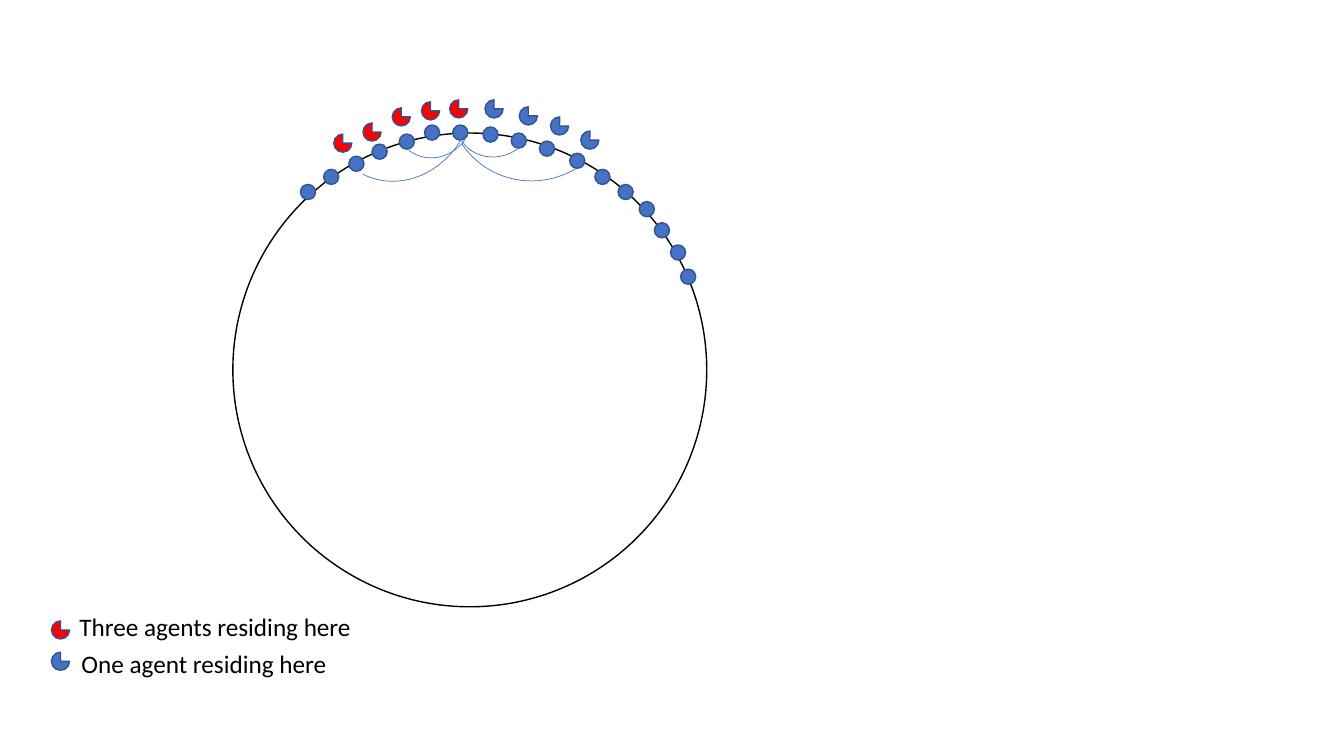
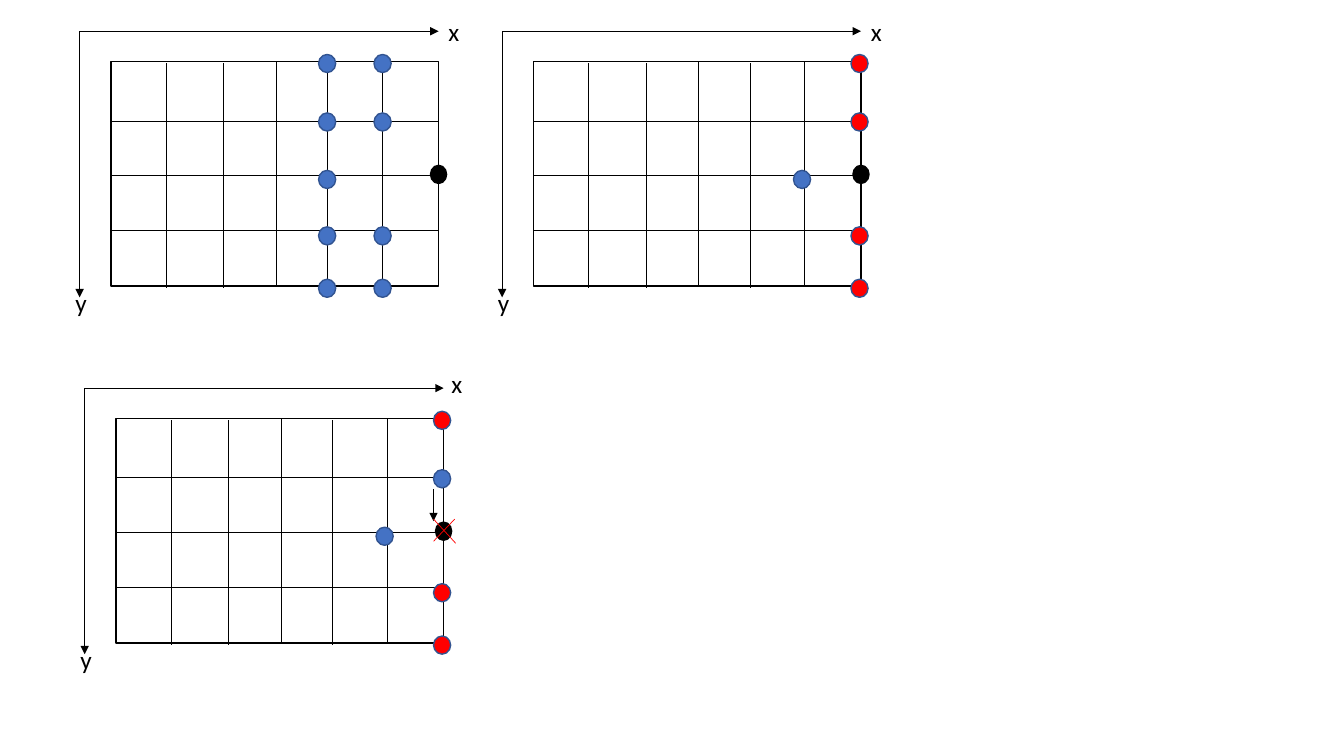
"""Build two diagram slides: agents on a ring and dots on grids."""
import pptx
import pptx.dml.color
import pptx.enum.shapes
import pptx.enum.text
import pptx.oxml
import pptx.oxml.ns
import pptx.util

Inches = pptx.util.Inches
Pt = pptx.util.Pt
SHAPE = pptx.enum.shapes.MSO_SHAPE

COLORS = {"black": "000000", "white": "FFFFFF", "red": "FF0000",
          "blue": "4472C4", "navy": "325491"}
FONT = "Calibri"

RING_DOTS = [(2.98, 1.83), (3.21, 1.68), (3.46, 1.55), (3.69, 1.43), (3.96, 1.33),
             (4.21, 1.24), (4.49, 1.24), (4.79, 1.26), (5.07, 1.32), (5.35, 1.40),
             (5.65, 1.52), (5.90, 1.68), (6.13, 1.83), (6.34, 2.00), (6.49, 2.21),
             (6.65, 2.43), (6.75, 2.67)]
AGENTS = {"red": [(3.31, 1.33), (3.6, 1.22), (3.89, 1.07), (4.18, 1.01), (4.46, 0.99)],
          "blue": [(4.81, 0.99), (5.15, 1.06), (5.46, 1.16), (5.76, 1.3)]}
ARCS = [(4.51, 0.8, 0.8, 0.75, 146.6, 159.69), (3.9, 0.8, 0.8, 0.75, 128.3, 159.69),
        (4.44, 0.13, 1.69, 1.66, 146.6, 163.29), (3.16, 0.3, 1.6, 1.43, 116.9, 163.29)]
LEGEND = [("red", "Three agents residing here", 6.16, 0.69, 6.02),
          ("blue", "One agent residing here", 6.47, 0.71, 6.38)]

GRID_WIDTH, GRID_HEIGHT = 3.25, 2.23
GRID_ROWS = [0.59, 1.13, 1.68]
GRID_COLUMNS = [(0.55, 0.02), (1.12, 0.02), (1.64, 0), (2.15, 0.02), (2.69, 0)]
DOT_TOPS = [-0.07, 0.51, 1.08, 1.64, 2.16]


class Sketch:
    """Hold the style, the deck and the current slide."""

    def __init__(self):
        self.deck = pptx.Presentation()
        self.deck.slide_width = Inches(13.33)
        self.deck.slide_height = Inches(7.5)
        self.slide = None

    def page(self):
        """Start a blank slide."""
        self.slide = self.deck.slides.add_slide(self.deck.slide_layouts[6])

    def color(self, name):
        """Return the colour with this name."""
        return pptx.dml.color.RGBColor.from_string(COLORS[name])

    def shape(self, kind, left, top, width, height, fill, line, weight=1):
        """Add a preset shape; a fill of None leaves it open."""
        shape = self.slide.shapes.add_shape(
            kind, Inches(left), Inches(top), Inches(width), Inches(height))
        shape.shadow.inherit = False
        if fill:
            shape.fill.solid()
            shape.fill.fore_color.rgb = self.color(fill)
        else:
            shape.fill.background()
        shape.line.color.rgb = self.color(line)
        shape.line.width = Pt(weight)
        return shape

    def agent(self, left, top, fill):
        """Add a pie-shaped agent."""
        self.shape(SHAPE.PIE, left, top, 0.18, 0.18, fill, "navy")

    def arc(self, left, top, width, height, rotation, start):
        """Add a thin rotated arc."""
        arc = self.shape(SHAPE.ARC, left, top, width, height, None, "blue", 0.5)
        arc.adjustments[0] = start
        arc.adjustments[1] = 0
        arc.rotation = rotation

    def line(self, start_x, start_y, end_x, end_y, color="black", arrow=False):
        """Add a thin straight line, with an arrowhead at its end if asked."""
        line = self.slide.shapes.add_connector(
            pptx.enum.shapes.MSO_CONNECTOR.STRAIGHT,
            Inches(start_x), Inches(start_y), Inches(end_x), Inches(end_y))
        line.line.color.rgb = self.color(color)
        line.line.width = Pt(0.5)
        if arrow:
            head = pptx.oxml.parse_xml(
                f'<a:tailEnd {pptx.oxml.ns.nsdecls("a")} type="triangle"/>')
            line.line._get_or_add_ln().append(head)
        line._element.spPr.append(
            pptx.oxml.parse_xml(f'<a:effectLst {pptx.oxml.ns.nsdecls("a")}/>'))

    def text(self, words, left, top, width, height=0.4):
        """Add a text box."""
        box = self.slide.shapes.add_textbox(
            Inches(left), Inches(top), Inches(width), Inches(height))
        frame = box.text_frame
        frame.word_wrap = True
        frame.auto_size = pptx.enum.text.MSO_AUTO_SIZE.SHAPE_TO_FIT_TEXT
        frame.text = words
        font = frame.paragraphs[0].runs[0].font
        font.name = FONT
        font.size = Pt(18)
        font.color.rgb = self.color("black")

    def grid(self, left, top, dots, label_x=3.25, label_y=-0.5):
        """Add a grid with axes, dots as (x, row, colour) and a black marker."""
        right = left + GRID_WIDTH
        self.shape(SHAPE.RECTANGLE, left, top, GRID_WIDTH, GRID_HEIGHT, "white", "black")
        for row in GRID_ROWS:
            self.line(left, top + row, right, top + row)
        for column, drop in GRID_COLUMNS:
            x = left + column
            self.line(x, top + drop, x, top + drop + GRID_HEIGHT)
        for x, row, color in dots:
            self.shape(SHAPE.OVAL, left + x, top + DOT_TOPS[row], 0.17, 0.18, color, "navy")
        axis_x, axis_y = left - 0.31, top - 0.3
        self.line(axis_x, axis_y, axis_x, top + 2.34, arrow=True)
        self.line(axis_x, axis_y, right, axis_y, arrow=True)
        self.shape(SHAPE.OVAL, left + 3.17, top + 1.03, 0.16, 0.18, "black", "black")
        self.text("y", left - 0.45, top + 2.19, 0.23, 0.28)
        self.text("x", left + label_x, top + label_y, 0.36)


def ring_slide(sketch):
    """Draw the ring of nodes with its agents and legend."""
    sketch.page()
    sketch.shape(SHAPE.OVAL, 2.31, 1.32, 4.7, 4.7, "white", "black")
    for left, top in RING_DOTS:
        sketch.shape(SHAPE.OVAL, left, top, 0.15, 0.15, "blue", "navy")
    for color, places in AGENTS.items():
        for left, top in places:
            sketch.agent(left, top, color)
    for color, words, agent_top, text_left, text_top in LEGEND:
        sketch.agent(0.51, agent_top, color)
        sketch.text(words, text_left, text_top, 2.93)
    for arc in ARCS:
        sketch.arc(*arc)


def grid_slide(sketch):
    """Draw the three grids and the crossed-out marker."""
    sketch.page()
    inner_dots = [(2.06, row, "blue") for row in range(5)]
    inner_dots += [(2.61, row, "blue") for row in (0, 1, 3, 4)]
    edge_dots = [(3.15, row, "red") for row in (0, 1, 3, 4)] + [(2.58, 2, "blue")]
    moved_dots = [(x, row, "blue" if row == 1 else color) for x, row, color in edge_dots]
    sketch.grid(1.1, 0.61, inner_dots)
    sketch.grid(5.29, 0.61, edge_dots)
    sketch.grid(1.15, 4.15, moved_dots, label_x=3.23, label_y=-0.54)
    sketch.line(4.3, 4.85, 4.3, 5.17, arrow=True)
    sketch.line(4.3, 5.15, 4.52, 5.39, "red")
    sketch.line(4.51, 5.15, 4.3, 5.37, "red")


def main():
    """Build and save the deck."""
    sketch = Sketch()
    ring_slide(sketch)
    grid_slide(sketch)
    sketch.deck.save("out.pptx")


if __name__ == "__main__":
    main()
